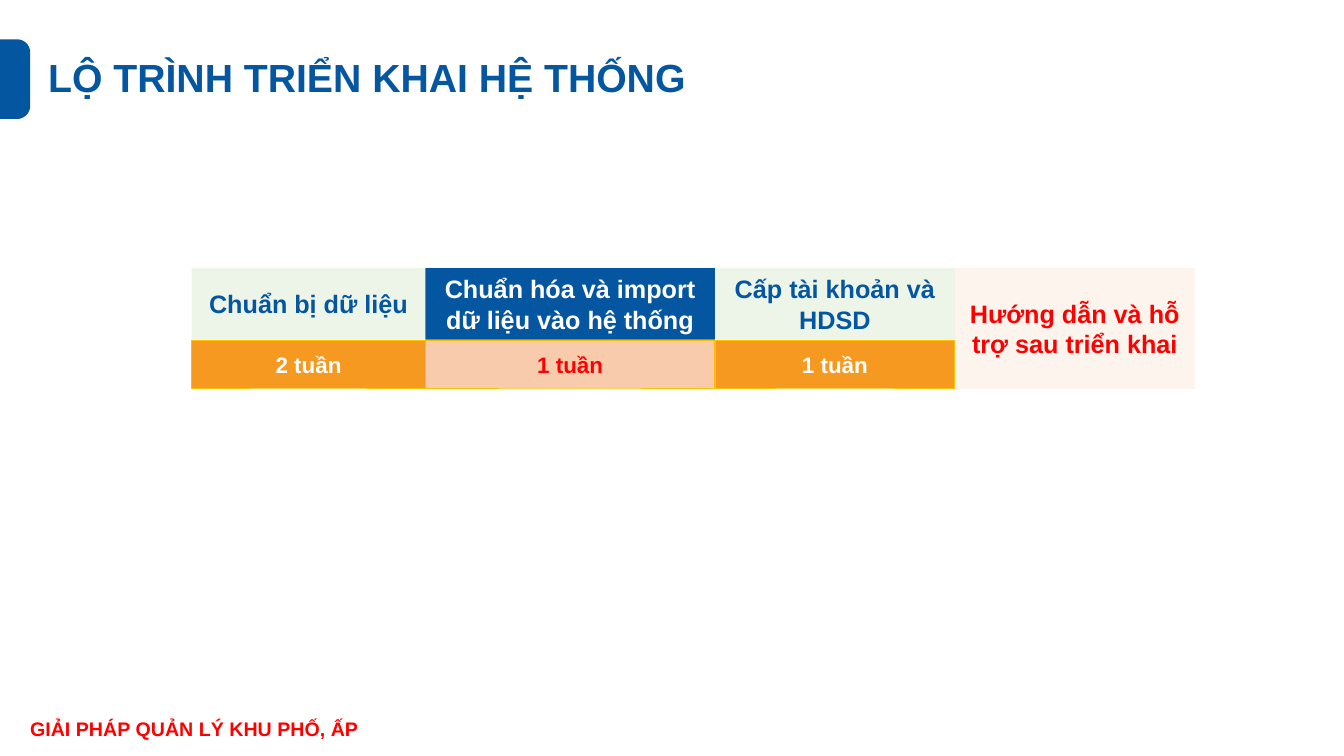
import math
from dataclasses import dataclass

from lxml import etree
from pptx import Presentation
from pptx.dml.color import RGBColor
from pptx.enum import shapes, text
from pptx.oxml import ns
from pptx.util import Inches, Pt


@dataclass(frozen=True)
class Theme:
    font: str = "Arial"
    blue: str = "0556A0"
    white: str = "FFFFFF"
    red: str = "FF0000"
    green: str = "A9D18E"
    orange: str = "F69921"
    peach: str = "F8CBAD"
    gold: str = "FFC000"
    title_size: int = 28
    phase_size: int = 18
    duration_size: int = 16
    footer_size: int = 14
    tint: int = 20
    border: float = 0.5


THEME = Theme()


def write(frame, words, size, color, align=text.PP_ALIGN.LEFT):
    frame.word_wrap = True
    line = frame.paragraphs[0]
    line.text = words
    line.alignment = align
    line.font.name = THEME.font
    line.font.size = Pt(size)
    line.font.bold = True
    line.font.color.rgb = RGBColor.from_string(color)


def paint(shape, color, opacity=100):
    shape.shadow.inherit = False
    shape.fill.solid()
    shape.fill.fore_color.rgb = RGBColor.from_string(color)
    shape.line.fill.background()
    if opacity < 100:
        swatch = shape.fill._xPr.find(".//" + ns.qn("a:srgbClr"))
        etree.SubElement(swatch, ns.qn("a:alpha"), val=str(opacity * 1000))


def add_label(slide, box, words, size, color):
    label = slide.shapes.add_textbox(*map(Inches, box))
    write(label.text_frame, words, size, color)
    label.text_frame.auto_size = text.MSO_AUTO_SIZE.SHAPE_TO_FIT_TEXT


def add_block(slide, box, words, size, color, fill, opacity=100):
    block = slide.shapes.add_shape(shapes.MSO_SHAPE.RECTANGLE, *map(Inches, box))
    paint(block, fill, opacity)
    block.text_frame.vertical_anchor = text.MSO_ANCHOR.MIDDLE
    write(block.text_frame, words, size, color, text.PP_ALIGN.CENTER)
    return block


def add_tab(slide, box, radius=0.13, steps=12):
    left, top, width, height = box
    right, bottom = left + width, top + height
    outline = [(left, top)]
    for center_y, start in ((top + radius, -90), (bottom - radius, 0)):
        for step in range(steps + 1):
            angle = math.radians(start + 90 * step / steps)
            outline.append((right - radius + radius * math.cos(angle),
                            center_y + radius * math.sin(angle)))
    outline.append((left, bottom))
    corner, *rest = [(Inches(x), Inches(y)) for x, y in outline]
    builder = slide.shapes.build_freeform(*corner)
    builder.add_line_segments(rest, close=True)
    paint(builder.convert_to_shape(), THEME.blue)


def add_header(slide, box):
    left, top, width, height = box
    add_tab(slide, (left, top, 0.3, height))
    add_label(slide, (left + 0.38, top + 0.09, width - 0.38, 0.57),
              "LỘ TRÌNH TRIỂN KHAI HỆ THỐNG", THEME.title_size, THEME.blue)


def add_roadmap(slide, box):
    left, top, width, height = box
    phase_height, duration_height = 0.71, 0.47
    duration_top = top + 0.72
    phases = [
        (2.32, "Chuẩn bị dữ liệu", THEME.blue, THEME.green, THEME.tint,
         "2 tuần", THEME.white, THEME.orange),
        (2.87, "Chuẩn hóa và import dữ liệu vào hệ thống", THEME.white,
         THEME.blue, 100, "1 tuần", THEME.red, THEME.peach),
        (2.38, "Cấp tài khoản và HDSD", THEME.blue, THEME.green, THEME.tint,
         "1 tuần", THEME.white, THEME.orange),
    ]
    x = left
    for span, phase, ink, fill, opacity, duration, duration_ink, duration_fill in phases:
        add_block(slide, (x, top, span, phase_height), phase,
                  THEME.phase_size, ink, fill, opacity)
        time = add_block(slide, (x, duration_top, span, duration_height), duration,
                         THEME.duration_size, duration_ink, duration_fill)
        time.line.color.rgb = RGBColor.from_string(THEME.gold)
        time.line.width = Pt(THEME.border)
        x += span
    add_block(slide, (x, top, left + width - x, height),
              "Hướng dẫn và hỗ trợ sau triển khai",
              THEME.phase_size, THEME.red, THEME.peach, THEME.tint)


def add_footer(slide, box):
    add_label(slide, box, "GIẢI PHÁP QUẢN LÝ KHU PHỐ, ẤP",
              THEME.footer_size, THEME.red)


def main():
    deck = Presentation()
    deck.slide_width, deck.slide_height = Inches(13.33), Inches(7.5)
    slide = deck.slides.add_slide(deck.slide_layouts[6])
    add_header(slide, (0, 0.39, 9.63, 0.79))
    add_roadmap(slide, (1.9, 2.66, 9.95, 1.2))
    add_footer(slide, (0.2, 7.06, 6.05, 0.34))
    deck.save("out.pptx")


if __name__ == "__main__":
    main()
